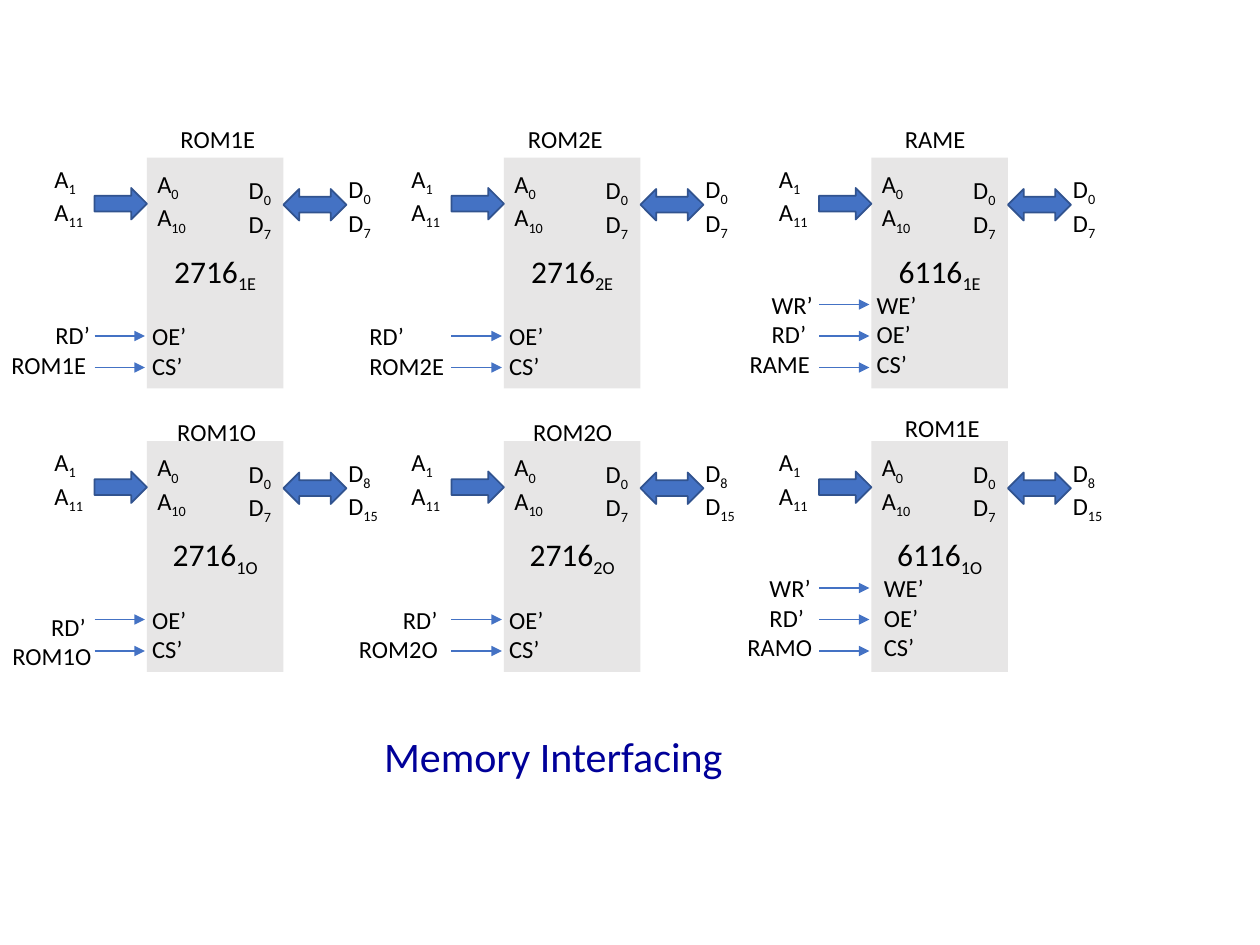
from dataclasses import dataclass

from lxml import etree
from pptx import Presentation
from pptx.dml.color import RGBColor
from pptx.enum.shapes import MSO_CONNECTOR, MSO_SHAPE
from pptx.enum.text import MSO_ANCHOR, PP_ALIGN
from pptx.oxml.ns import qn
from pptx.util import Inches, Pt

RECTANGLE = MSO_SHAPE.RECTANGLE
RIGHT_ARROW = MSO_SHAPE.RIGHT_ARROW
DOUBLE_ARROW = MSO_SHAPE.LEFT_RIGHT_ARROW
STRAIGHT = MSO_CONNECTOR.STRAIGHT
MIDDLE = MSO_ANCHOR.MIDDLE
CENTER = PP_ALIGN.CENTER
LEFT = PP_ALIGN.LEFT

BLACK = RGBColor(0x00, 0x00, 0x00)
CHIP_GREY = RGBColor(0xE7, 0xE6, 0xE6)
BLUE = RGBColor(0x44, 0x72, 0xC4)
DARK_BLUE = RGBColor(0x31, 0x53, 0x8F)
TITLE_BLUE = RGBColor(0x00, 0x00, 0x99)

FONT = "Calibri"
CELL = 1 / 12  # grid cell in inches: the slide is 120 columns by 90 rows
COLUMNS = (14, 48, 83)  # left edges of the chips
ROWS = (15, 42)  # top edges of the chips
CHIP_WIDTH, CHIP_HEIGHT = 13, 22
PAIR_HEIGHT = 6.8  # two lines of pin text


@dataclass
class Chip:
    column: int
    row: int
    model: str
    label: str
    label_at: tuple  # offsets from the chip's top left corner
    signals: tuple
    signals_at: tuple
    indent: float  # of the signals above the chip select
    pins_left: float = -0.7


CHIPS = (
    Chip(0, 0, "2716_1E", "ROM1E", (2, -3.8), ("RD’", "ROM1E"), (-14.1, 14.9), 4.2),
    Chip(0, 1, "2716_1O", "ROM1O", (1.7, -2.9), ("RD’", "ROM1O"), (-14, 15.7), 3.7),
    Chip(1, 0, "2716_2E", "ROM2E", (1.1, -3.8), ("RD’", "ROM2E"), (-14, 15), 0),
    Chip(1, 1, "2716_2O", "ROM2O", (1.6, -2.9), ("RD’", "ROM2O"), (-15, 15), 4.2),
    Chip(2, 0, "6116_1E", "RAME", (2, -3.8), ("WR’", "RD’", "RAME"), (-12.8, 12), 2.1),
    Chip(2, 1, "6116_1O", "ROM1E", (2, -3.3), ("WR’", "RD’", "RAMO"), (-13, 12), 2.1, 0),
)


def cells(count):
    return Inches(count * CELL)


def write_lines(frame, lines, size=14, color=BLACK, align=LEFT, indent=0):
    """Write one paragraph per line; what follows "_" is a subscript."""
    frame.word_wrap = True
    for index, line in enumerate(lines):
        paragraph = frame.paragraphs[0] if index == 0 else frame.add_paragraph()
        paragraph.alignment = align
        paragraph.font.name = FONT
        paragraph.font.size = Pt(size)
        paragraph.font.color.rgb = color
        base, _, subscript = line.partition("_")
        paragraph.add_run().text = base
        if subscript:
            run = paragraph.add_run()
            run.text = subscript
            run._r.get_or_add_rPr().set("baseline", "-25000")
        if indent and index < len(lines) - 1:
            paragraph._p.get_or_add_pPr().set("marL", str(cells(indent)))


def add_text(slide, left, top, width, height, lines, **style):
    box = slide.shapes.add_textbox(*map(cells, (left, top, width, height)))
    write_lines(box.text_frame, lines, **style)


def add_block(slide, kind, left, top, width, height, fill, line=None):
    shape = slide.shapes.add_shape(kind, *map(cells, (left, top, width, height)))
    shape.shadow.inherit = False
    shape.fill.solid()
    shape.fill.fore_color.rgb = fill
    if line is None:
        shape.line.fill.background()
    else:
        shape.line.color.rgb = line
        shape.line.width = Pt(1)
    return shape


def add_signal_arrow(slide, left, right, y):
    connector = slide.shapes.add_connector(STRAIGHT, *map(cells, (left, y, right, y)))
    connector.line.color.rgb = BLUE
    connector.line.width = Pt(0.75)
    properties = connector._element.spPr
    etree.SubElement(properties.find(qn("a:ln")), qn("a:tailEnd"), type="triangle")
    etree.SubElement(properties, qn("a:effectLst"))


def add_chip(slide, chip):
    left, top = COLUMNS[chip.column], ROWS[chip.row]

    # Body with the model number
    body = add_block(slide, RECTANGLE, left, top, CHIP_WIDTH, CHIP_HEIGHT, CHIP_GREY)
    body.text_frame.vertical_anchor = MIDDLE
    write_lines(body.text_frame, [chip.model], size=18, align=CENTER)

    # Data bus: low byte in the upper row, high byte in the lower row
    data, data_width = ((("D_0", "D_7"), 4.9), (("D_8", "D_15"), 5.8))[chip.row]
    add_block(slide, DOUBLE_ARROW, left + CHIP_WIDTH, top + 3, 6, 3, BLUE, DARK_BLUE)
    add_text(slide, left + 8.5, top + 1.1, 4.9, PAIR_HEIGHT, ("D_0", "D_7"))
    add_text(slide, left + 18, top + 1, data_width, PAIR_HEIGHT, data)

    # Address bus
    add_block(slide, RIGHT_ARROW, left - 5, top + 2.9, 5, 3, BLUE, DARK_BLUE)
    add_text(slide, left - 0.2, top + 0.5, 5.5, PAIR_HEIGHT, ("A_0", "A_10"))
    add_text(slide, left - 10, top, 5.5, PAIR_HEIGHT, ("A_1", "A_11"))

    # Control pins, their signals and one arrow each
    count = len(chip.signals)
    pins = ("WE’", "OE’", "CS’")[-count:]
    height = PAIR_HEIGHT + 2.9 * (count - 2)
    add_text(slide, left + chip.pins_left, top + 21 - 3 * count, 6.6, height, pins)
    signals_left, signals_top = chip.signals_at
    add_text(slide, left + signals_left, top + signals_top, 10.8 if count == 2 else 9,
             height, chip.signals, indent=chip.indent)
    for index in range(count):
        add_signal_arrow(slide, left - 5, left - 0.2, top + 20 - 3 * index)

    # Label above the chip
    label_left, label_top = chip.label_at
    add_text(slide, left + label_left, top + label_top, 10.9, 4, [chip.label])


def main():
    presentation = Presentation()
    presentation.slide_width = Inches(10)
    presentation.slide_height = Inches(7.5)
    slide = presentation.slides.add_slide(presentation.slide_layouts[6])
    for chip in CHIPS:
        add_chip(slide, chip)
    add_text(slide, 35.4, 69, 51.8, 6.1, ["Memory Interfacing"], size=24, color=TITLE_BLUE)
    presentation.save("out.pptx")


if __name__ == "__main__":
    main()
